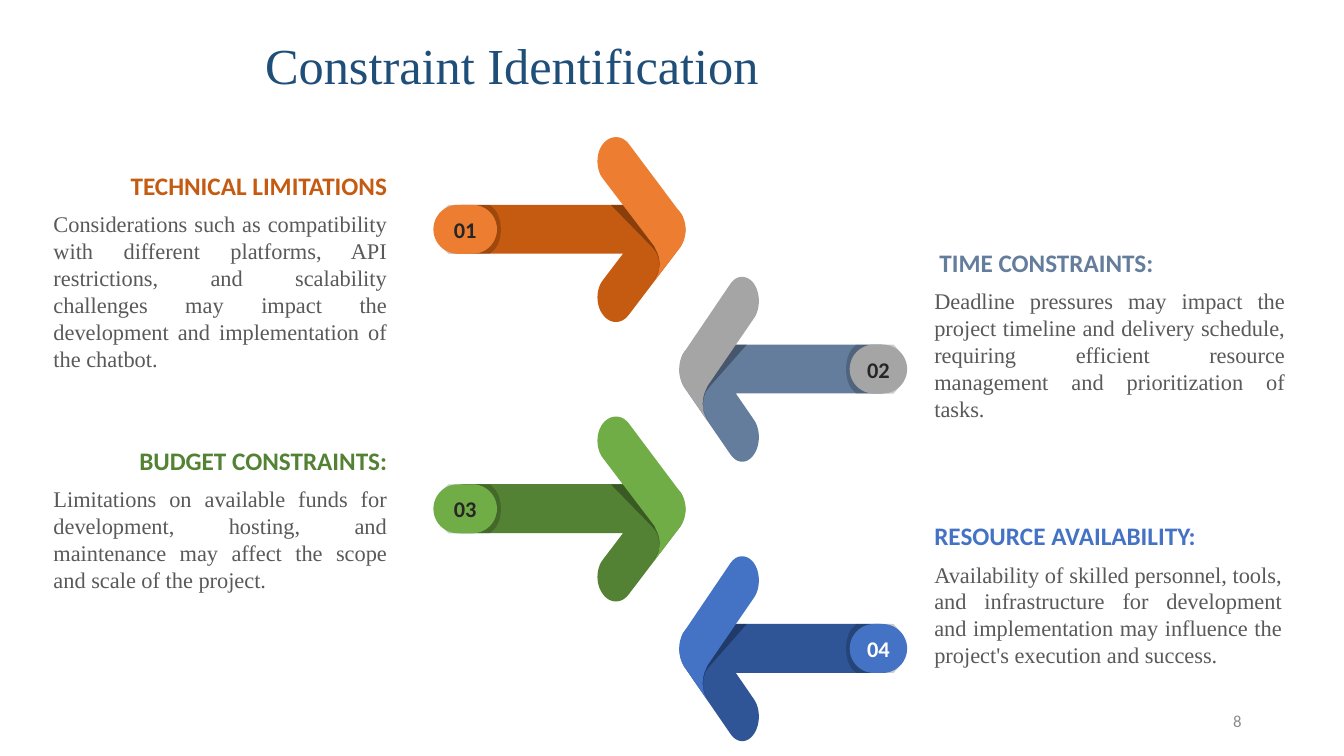
from lxml.etree import SubElement
from pptx import Presentation
from pptx.dml.color import RGBColor
from pptx.enum.shapes import MSO_SHAPE
from pptx.enum.text import MSO_ANCHOR, PP_ALIGN
from pptx.oxml.ns import qn
from pptx.util import Pt

COLORS = {
    "title": "1F4E79", "body": "595959", "page": "8C8C8C",
    "dark": "262626", "white": "FFFFFF", "shade": "000000",
    "orange": "ED7D31", "rust": "C55A11", "gray": "A5A5A5", "slate": "657D9D",
    "green": "70AD47", "forest": "548235", "blue": "4472C4", "navy": "2F5597",
}
SERIF, SANS = "Times New Roman", "Calibri"

# Right-pointing arrow: pairs are corners, six numbers are a Bezier curve.
ARROW_W, BAR_TOP, BAR_H, CAP_W = 180, 48.3, 35, 45.4
BODY = [(21.6, 48.3), (167, 48.3), (172, 50.5),
        (175, 51.8, 177.8, 54.7, 178.6, 59), (180, 66),
        (180, 70, 178.6, 75, 176.4, 78.5), (139.7, 126.7),
        (134.6, 133.8, 126, 133.8, 121, 126.7),
        (115.9, 120.2, 115.9, 108.7, 121, 102.2), (135.4, 83.3), (21.6, 83.3),
        (14.4, 83.3, 8.6, 75.6, 8.6, 66), (8.6, 56.2, 14.4, 48.3, 21.6, 48.3)]
FOLD = [(148.3, 48.3), (165.6, 73.4), (166.3, 90), (157.7, 102.2), (160.6, 96.5),
        (162, 92.2, 161.3, 86.4, 159.1, 82.1), (156.2, 78.5), (126.7, 48.3)]
HEAD = [(130.3, 0), (133.9, 0, 136.8, 1.4, 139.7, 5), (176.4, 54),
        (181.4, 60.5, 181.4, 71.3, 176.4, 78.5), (157.7, 103), (160.6, 97.2),
        (162, 92.2, 162, 87.1, 159.8, 82.1), (157.7, 77.8), (121, 29.5),
        (115.9, 23, 115.9, 11.5, 121, 5), (123.8, 1.4, 127.4, 0, 130.3, 0)]
CAP_SHADE = [(10.8, 48.3), (40.3, 48.3), (43.9, 51.8),
             (46.8, 55.4, 48.2, 60.5, 48.2, 66), (48.2, 71.3, 46.8, 76.3, 43.9, 79.9),
             (40.3, 83.3), (10.8, 83.3), (7.2, 80, 5, 77, 4.3, 73.4), (2.9, 66),
             (4.3, 58.3), (5, 56.2, 5.8, 54, 7.2, 51.8)]


def flatten(outline, steps=12):
    """Turn corners and curves into a plain list of points."""
    points = []
    for seg in outline:
        if len(seg) == 2:
            points.append(seg)
            continue
        (x0, y0), (x1, y1, x2, y2, x3, y3) = points[-1], seg
        for i in range(1, steps + 1):
            t = i / steps
            a, b, c, d = (1 - t) ** 3, 3 * t * (1 - t) ** 2, 3 * t * t * (1 - t), t ** 3
            points.append((a * x0 + b * x1 + c * x2 + d * x3,
                           a * y0 + b * y1 + c * y2 + d * y3))
    return points


def paint(sp, color, alpha=None):
    sp.shadow.inherit = False
    sp.line.fill.background()
    sp.fill.solid()
    sp.fill.fore_color.rgb = RGBColor.from_string(COLORS[color])
    if alpha:
        clr = sp.fill._xPr.find(qn("a:solidFill"))[0]
        SubElement(clr, qn("a:alpha"), val=str(alpha * 1000))


def write(tf, text, font, size, color, align=PP_ALIGN.LEFT, bold=False, **frame):
    for name, value in frame.items():
        setattr(tf, name, value)
    p = tf.paragraphs[0]
    p.alignment = align
    r = p.add_run()
    r.text = text
    for name, value in {"name": font, "size": Pt(size), "bold": bold}.items():
        setattr(r.font, name, value)
    r.font.color.rgb = RGBColor.from_string(COLORS[color])


def add_text(slide, x, y, w, h, *args, **fmt):
    tb = slide.shapes.add_textbox(Pt(x), Pt(y), Pt(w), Pt(h))
    write(tb.text_frame, *args, **{"word_wrap": True, **fmt})


def add_arrow(slide, x, y, w, number, light, dark, ink, points_left):
    """Folded arrow with a numbered cap on its tail, fitted to width w."""
    k = w / ARROW_W

    def place(px, py):
        return Pt(x + (w - px * k if points_left else px * k)), Pt(y + py)

    for outline, color, alpha in ((BODY, dark, None), (FOLD, "shade", 30),
                                  (HEAD, light, None), (CAP_SHADE, "shade", 20)):
        start, *rest = [place(*pt) for pt in flatten(outline)]
        fb = slide.shapes.build_freeform(*start)
        fb.add_line_segments(rest, close=True)
        paint(fb.convert_to_shape(), color, alpha)
    left, top = place(CAP_W if points_left else 0, BAR_TOP)
    cap = slide.shapes.add_shape(MSO_SHAPE.ROUNDED_RECTANGLE, left, top,
                                 Pt(CAP_W * k), Pt(BAR_H))
    cap.adjustments[0] = 0.5
    paint(cap, light)
    write(cap.text_frame, number, SANS, 16, ink, PP_ALIGN.CENTER, True,
          vertical_anchor=MSO_ANCHOR.MIDDLE)


def add_constraint(slide, x, y, w, h, heading, text, color, align, head_h, indent=0):
    """Heading of height head_h on top of a justified paragraph."""
    flush = {"margin_left": 0, "margin_right": 0}
    add_text(slide, x + indent, y, w, head_h, heading, SANS, 18, color, align, True,
             vertical_anchor=MSO_ANCHOR.BOTTOM, **flush)
    add_text(slide, x, y + head_h, w, h - head_h, text, SERIF, 16, "body",
             PP_ALIGN.JUSTIFY, **flush)


def constraint_slide(prs):
    slide = prs.slides.add_slide(prs.slide_layouts[6])
    add_text(slide, 182.2, 20.9, 370.8, 51, "Constraint Identification", SERIF, 36,
             "title", word_wrap=False)
    add_text(slide, 678, 500.4, 216, 28.8, "8", SANS, 12, "page", PP_ALIGN.RIGHT,
             vertical_anchor=MSO_ANCHOR.MIDDLE)

    arrows = [("orange", "rust", "dark"), ("gray", "slate", "dark"),
              ("green", "forest", "dark"), ("blue", "navy", "white")]
    for i, colors in enumerate(arrows):
        points_left = i % 2 == 1
        x, w = (485.3, 162.7) if points_left else (309.6, 180)
        add_arrow(slide, x, 98 + 99.8 * i, w, f"{i + 1:02}", *colors, points_left)

    add_constraint(
        slide, 38.2, 118, 238.3, 172, "TECHNICAL LIMITATIONS",
        "Considerations such as compatibility with different platforms, API "
        "restrictions, and scalability challenges may impact the development and "
        "implementation of the chatbot.", "rust", PP_ALIGN.RIGHT, 28.8)
    add_constraint(
        slide, 667.4, 172.8, 250.6, 133, "TIME CONSTRAINTS:",
        "Deadline pressures may impact the project timeline and delivery schedule, "
        "requiring efficient resource management and prioritization of tasks.",
        "slate", PP_ALIGN.LEFT, 28.8, indent=3.6)
    add_constraint(
        slide, 38.2, 292.3, 238.3, 135.5, "BUDGET CONSTRAINTS:",
        "Limitations on available funds for development, hosting, and maintenance "
        "may affect the scope and scale of the project.",
        "forest", PP_ALIGN.RIGHT, 50.8)
    add_constraint(
        slide, 667.4, 346.2, 248.4, 155, "RESOURCE AVAILABILITY:",
        "Availability of skilled personnel, tools, and infrastructure for development "
        "and implementation may influence the project's execution and success.",
        "blue", PP_ALIGN.LEFT, 50.8)


def main():
    prs = Presentation()
    prs.slide_width, prs.slide_height = Pt(960), Pt(540)
    constraint_slide(prs)
    prs.save("out.pptx")


if __name__ == "__main__":
    main()
